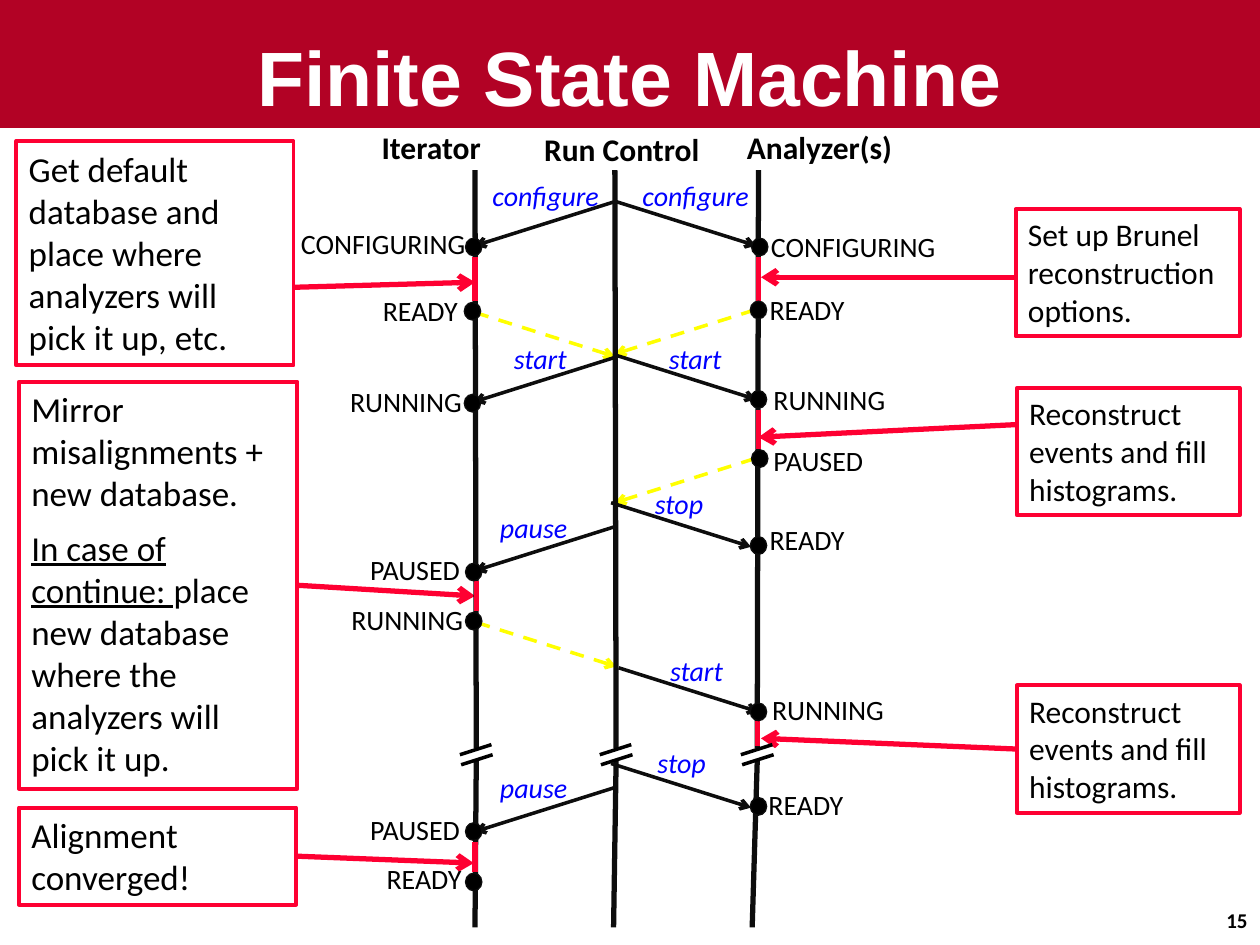
import pptx
import pptx.util
import pptx.dml.color
import pptx.enum.dml
import pptx.enum.shapes
import pptx.enum.text
import pptx.oxml

COLS, ROWS = 100, 75
RED, INK, BLACK, BLUE = "FE0032", "0D0D0D", "000000", "0000FF"
YELLOW, WHITE, WINE = "FFFF00", "FFFFFF", "B20225"
KIND = pptx.enum.shapes.MSO_SHAPE
ALIGN = pptx.enum.text.PP_ALIGN
LEFT, RIGHT = -1, 1
STEP, DROP = 11.1, 3.5  # reach and fall of every message arrow


def tint(code):
    return pptx.dml.color.RGBColor.from_string(code)


class Board:
    """Draws on one slide; lengths are columns and rows of its grid."""

    def __init__(self, deck):
        self.deck = deck
        self.slide = deck.slides.add_slide(deck.slide_layouts[5])
        self.shapes = self.slide.shapes
        self.font = "Calibri"

    def across(self, cols):
        return round(self.deck.slide_width * cols / COLS)

    def down(self, rows):
        return round(self.deck.slide_height * rows / ROWS)

    def frame(self, x, y, w, h):
        return self.across(x), self.down(y), self.across(w), self.down(h)

    def letter(self, shape, paras, size, color=BLACK, bold=False, italic=False,
               align=ALIGN.LEFT, font=None):
        """Fill a shape with paragraphs, each a list of (text, underline) runs."""
        body = shape.text_frame
        body.word_wrap = True
        for i, runs in enumerate(paras):
            para = body.add_paragraph() if i else body.paragraphs[0]
            para.alignment = align
            if i:
                para.space_before = pptx.util.Pt(7)
            for text, under in runs:
                run = para.add_run()
                run.text = text
                face = run.font
                face.name, face.size = font or self.font, pptx.util.Pt(size)
                face.bold, face.italic = bold, italic
                face.color.rgb = tint(color)
                if under:
                    face.underline = True

    def title(self, text, x, y, w, h):
        head = self.shapes.title
        head.left, head.top, head.width, head.height = self.frame(x, y, w, h)
        self.letter(head, [[(text, False)]], 44, WHITE, bold=True,
                    align=ALIGN.CENTER, font="Arial")

    def label(self, text, x, y, w, h=3.7, size=16, **style):
        box = self.shapes.add_textbox(*self.frame(x, y, w, h))
        self.letter(box, [[(text, False)]], size, **style)
        return box

    def shape(self, kind, x, y, w, h, fill, edge, width=0.75):
        item = self.shapes.add_shape(kind, *self.frame(x, y, w, h))
        item.shadow.inherit = False
        if fill:
            item.fill.solid()
            item.fill.fore_color.rgb = tint(fill)
        else:
            item.fill.background()
        item.line.color.rgb = tint(edge)
        item.line.width = pptx.util.Pt(width)
        return item

    def banner(self, h):
        item = self.shape(KIND.RECTANGLE, 0, 0, COLS, h, WINE, WINE)
        item.element.getparent().insert(2, item.element)

    def note(self, paras, x, y, w, h, size):
        item = self.shape(KIND.RECTANGLE, x, y, w, h, None, RED, 2.25)
        item.text_frame.vertical_anchor = pptx.enum.text.MSO_ANCHOR.TOP
        self.letter(item, paras, size)
        return item

    def dot(self, x, y):
        self.shape(KIND.OVAL, x - 0.65, y - 0.7, 1.3, 1.4, BLACK, INK)

    def line(self, x1, y1, x2, y2, color=INK, width=2, arrow=False, dash=False):
        link = self.shapes.add_connector(
            pptx.enum.shapes.MSO_CONNECTOR.STRAIGHT,
            self.across(x1), self.down(y1), self.across(x2), self.down(y2))
        link.line.color.rgb = tint(color)
        link.line.width = pptx.util.Pt(width)
        if dash:
            link.line.dash_style = pptx.enum.dml.MSO_LINE.DASH
        props = link.element.spPr
        if arrow:
            stroke = props.find(pptx.oxml.ns.qn("a:ln"))
            tip = pptx.oxml.parse_xml(
                '<a:tailEnd %s type="arrow"/>' % pptx.oxml.ns.nsdecls("a"))
            stroke.append(tip)
        props.append(pptx.oxml.parse_xml(
            "<a:effectLst %s/>" % pptx.oxml.ns.nsdecls("a")))
        return link

    def send(self, x, y, side, **style):
        self.line(x, y, x + side * STEP, y + DROP, arrow=True, **style)


# x, y, side
REPLIES = [(37.8, 49.4, RIGHT), (59.9, 36.4, LEFT),
           (59.9, 24.6, LEFT), (37.7, 24.8, RIGHT)]

# x, y, side, command, then left, top and width of its label
COMMANDS = [
    (48.8, 16, LEFT, "configure", 38.1, 13.7, 10.6),
    (48.9, 16, RIGHT, "configure", 50, 13.7, 15.1),
    (48.7, 28.4, LEFT, "start", 39.8, 26.6, 10.6),
    (48.9, 28.2, RIGHT, "start", 52.1, 26.6, 10.6),
    (48.5, 39.9, RIGHT, "stop", 51, 38.1, 10.6),
    (48.8, 41.8, LEFT, "pause", 38.7, 40, 10.6),
    (49.1, 53, RIGHT, "start", 52.2, 51.4, 6.6),
    (48.5, 60.6, RIGHT, "stop", 51.2, 58.7, 10.6),
    (48.8, 62.5, LEFT, "pause", 38.7, 60.7, 10.6),
]

# dot x, dot y, state, then left, top and width of its label
STATES = [
    (37.6, 19.6, "CONFIGURING", 22.9, 17.5, 15.1),
    (37.5, 24.7, "READY", 29.4, 22.8, 8.6),
    (37.5, 32, "RUNNING", 26.8, 30, 11.3),
    (37.6, 45.4, "PAUSED", 28.4, 43.4, 11.3),
    (37.6, 49.3, "RUNNING", 26.9, 47.3, 11.3),
    (37.6, 66, "PAUSED", 28.4, 64, 11.3),
    (37.6, 70, "READY", 29.7, 67.9, 11.3),
    (60.3, 19.6, "CONFIGURING", 60.2, 17.7, 15.1),
    (60.2, 24.6, "READY", 60.1, 22.7, 8.6),
    (60.2, 31.7, "RUNNING", 60.4, 29.9, 11.3),
    (60.3, 36.4, "PAUSED", 60.4, 34.7, 12.8),
    (60.2, 43.3, "READY", 60.1, 41, 12.8),
    (60.2, 56.5, "RUNNING", 60.3, 54.5, 11.3),
    (60.2, 64, "READY", 60, 62, 12.8),
]

# name, label left, top and width, then x at top, at both sides of the break, at foot
LANES = [("Iterator", 29.3, 9.7, 13.3, 37.7, 37.8, 37.8, 37.7),
         ("Run Control", 42.2, 9.8, 19.2, 48.8, 48.9, 48.9, 48.7),
         ("Analyzer(s)", 58.3, 9.7, 17, 60.2, 60.1, 60.1, 59.7)]

# x, top, foot
BUSY = [(37.7, 20.4, 23.9), (60.2, 20.4, 24), (37.8, 46.1, 48.5),
        (60.2, 32.5, 35.6), (37.7, 66.8, 69.2), (60.1, 57.2, 59.2)]

FILL = [[("Reconstruct events and fill histograms.", False)]]
# paragraphs, box, text size, arrow from and to, side joined if any
NOTES = [
    ([[("Get default database and place where analyzers will pick it up, etc.", False)]],
     (1.3, 11.2, 22, 17.8), 20, (23.4, 22.8, 37.7, 22.4), None),
    ([[("Mirror misalignments + new database.", False)],
      [("In case of continue: ", True),
       ("place new database where the analyzers will pick it up.", False)]],
     (1.5, 30.3, 22.1, 32.3), 20, (23.6, 46.5, 37.7, 47.3), 3),
    ([[("Alignment converged!", False)]],
     (1.5, 64.1, 22, 7.7), 20, (23.5, 67.7, 37.6, 68.5), 3),
    ([[("Set up Brunel reconstruction options.", False)]],
     (80.6, 16.6, 17.8, 10.1), 18, (80.6, 22, 60.4, 22), None),
    (FILL, (80.7, 30.8, 17.7, 10.1), 18, (80.7, 33.7, 60.2, 34.7), None),
    (FILL, (80.7, 54.4, 17.7, 10.1), 18, (80.7, 59.4, 60.4, 58.6), 1),
]


def main():
    deck = pptx.Presentation()
    deck.slide_width, deck.slide_height = pptx.util.Inches(10), pptx.util.Inches(7.5)
    board = Board(deck)
    board.banner(10.1)
    board.title("Finite State Machine", 5, 1.9, 90, 8.2)
    page = board.label("15", 76.7, 71, 23.3, 4, 12, bold=True, align=ALIGN.RIGHT)
    page.text_frame.vertical_anchor = pptx.enum.text.MSO_ANCHOR.MIDDLE

    for x, y, side in REPLIES:
        board.send(x, y, side, color=YELLOW, dash=True)
    for paras, box, size, ends, site in NOTES:
        note = board.note(paras, *box, size)
        link = board.line(*ends, color=RED, width=3, arrow=True)
        if site is not None:
            link.begin_connect(note, site)
    for name, left, top, wide, x1, x2, x3, x4 in LANES:
        board.line(x1, 13.5, x2, 59.4, width=3)
        board.line(x3, 60.4, x4, 73.6, width=3)
        for shift in (0, 0.8):
            x, y = x2 - 1.3 + shift / 8, 59.9 + shift
            board.line(x, y, x + 2.5, y - 0.8, color=BLACK)
        board.label(name, left, top, wide, 4, 18, bold=True)
    for x, top, foot in BUSY:
        board.line(x, top, x, foot, color=RED, width=3)
    for x, y, side, name, *spot in COMMANDS:
        board.send(x, y, side)
        board.label(name, *spot, color=BLUE, italic=True)
    for x, y, name, *spot in STATES:
        board.dot(x, y)
        board.label(name, *spot)
    deck.save("out.pptx")


if __name__ == "__main__":
    main()
